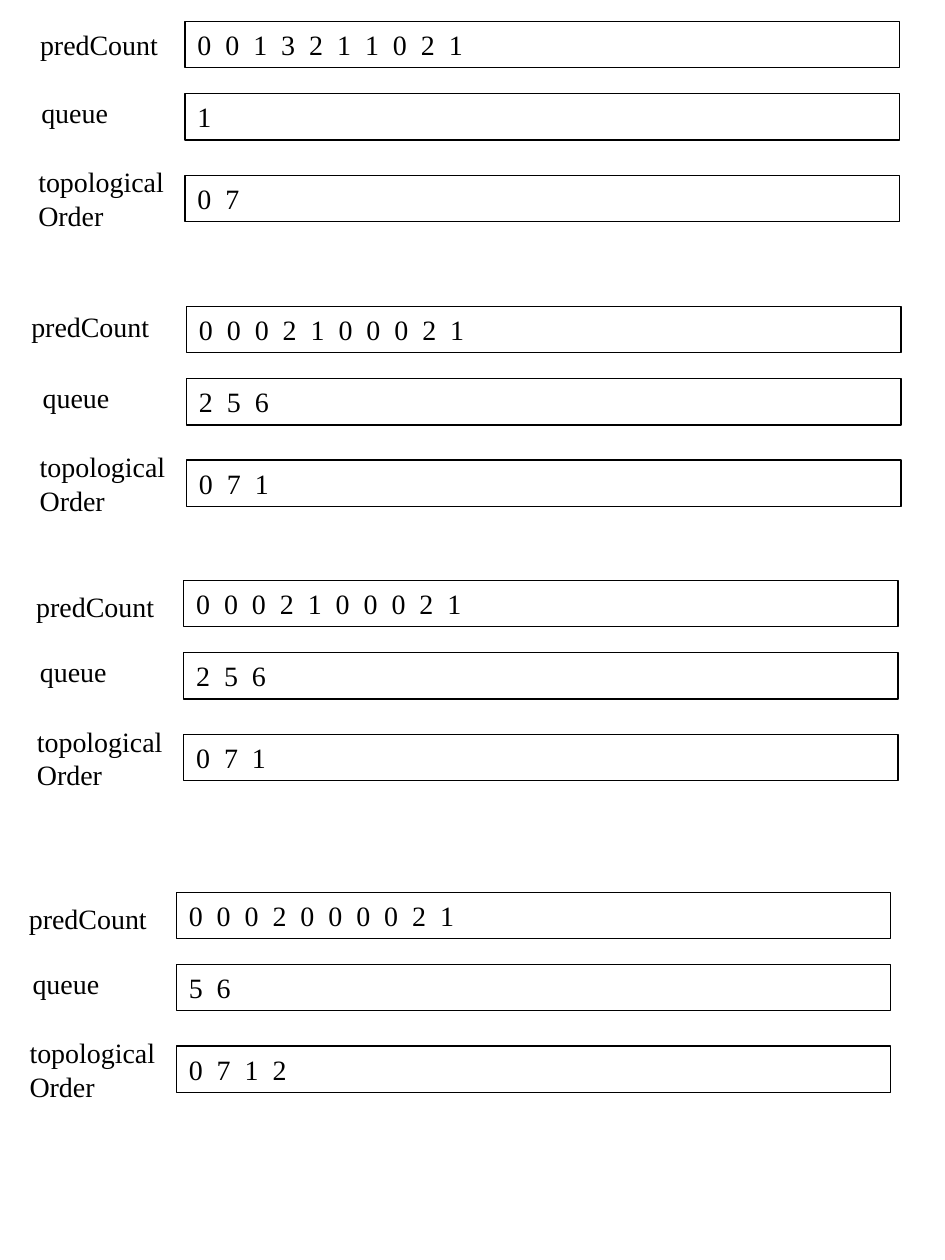
from pptx import Presentation
from pptx.dml.color import RGBColor
from pptx.enum.shapes import MSO_SHAPE
from pptx.enum.text import MSO_ANCHOR, MSO_AUTO_SIZE, PP_ALIGN
from pptx.util import Pt

HUES = {"ink": "000000"}
FONT = "Times New Roman"
WIDE, HIGH = 408.25, 26.5
ROWS = [
    ("predCount", 0, 90, 26.5),
    ("queue", 41.3, 60, 26.5),
    ("topologicalOrder", 87.9, 90, 46),
]
STEPS = [
    (105.8, 12.2, (-90, 0), ["0  0  1  3  2  1  1  0  2  1", "1", "0  7"]),
    (106.6, 175, (-95.8, -1.5), ["0  0  0  2  1  0  0  0  2  1", "2  5  6", "0  7  1"]),
    (105, 331.7, (-91.4, 1.6), ["0  0  0  2  1  0  0  0  2  1", "2  5  6", "0  7  1"]),
    (100.8, 509.8, (-91.4, 1.6), ["0  0  0  2  0  0  0  0  2  1", "5  6", "0  7  1  2"]),
]


def write(shape, text):
    frame = shape.text_frame
    frame.word_wrap = True
    frame.auto_size = MSO_AUTO_SIZE.SHAPE_TO_FIT_TEXT
    frame.vertical_anchor = MSO_ANCHOR.TOP
    frame.text = text
    line = frame.paragraphs[0]
    line.alignment = PP_ALIGN.LEFT
    font = line.runs[0].font
    font.name = FONT
    font.size = Pt(16)
    font.color.rgb = RGBColor.from_string(HUES["ink"])


def add_label(slide, text, left, top, width, height):
    box = slide.shapes.add_textbox(Pt(left), Pt(top), Pt(width), Pt(height))
    write(box, text)


def add_list(slide, text, left, top, width, height):
    box = slide.shapes.add_shape(
        MSO_SHAPE.RECTANGLE, Pt(left), Pt(top), Pt(width), Pt(height))
    box.shadow.inherit = False
    box.fill.background()
    box.line.color.rgb = RGBColor.from_string(HUES["ink"])
    box.line.width = Pt(0.75)
    write(box, text)


def add_step(slide, left, top, shift, lists):
    shifts = [shift, (-89.3, -2.3), (-91, -9.4)]
    for (name, drop, width, height), (dx, dy), text in zip(ROWS, shifts, lists):
        add_list(slide, text, left, top + drop, WIDE, HIGH)
        add_label(slide, name, left + dx, top + drop + dy, width, height)


def main():
    deck = Presentation()
    deck.slide_width, deck.slide_height = Pt(540), Pt(720)
    slide = deck.slides.add_slide(deck.slide_layouts[6])
    for step in STEPS:
        add_step(slide, *step)
    deck.save("out.pptx")


if __name__ == "__main__":
    main()
